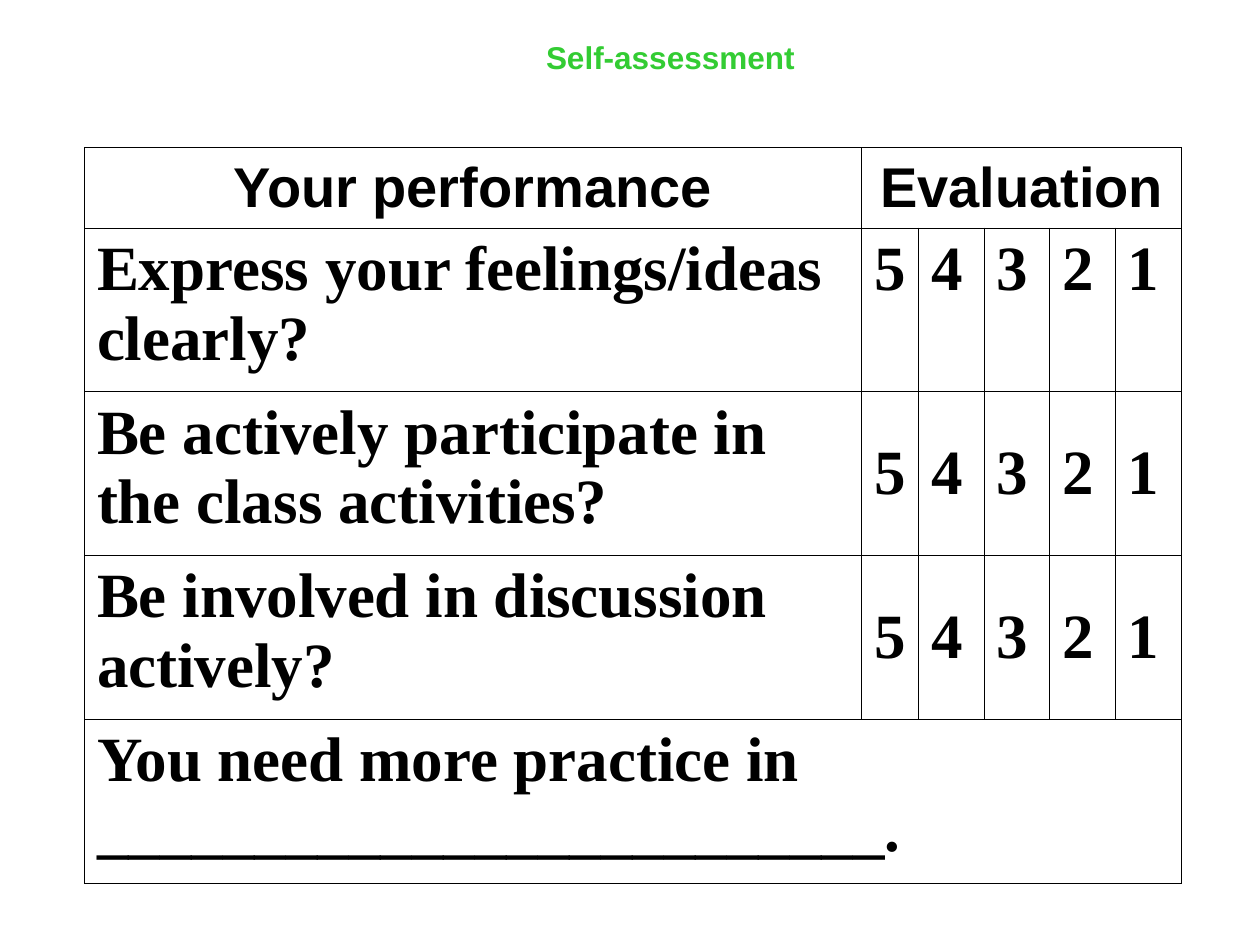
from dataclasses import dataclass

from lxml import etree
from pptx import Presentation
from pptx.dml.color import RGBColor
from pptx.enum.text import MSO_ANCHOR, MSO_AUTO_SIZE, PP_ALIGN
from pptx.oxml.ns import qn
from pptx.util import Inches, Pt

TOP, MIDDLE = MSO_ANCHOR.TOP, MSO_ANCHOR.MIDDLE
LEFT, CENTER = PP_ALIGN.LEFT, PP_ALIGN.CENTER
NO_AUTOSIZE = MSO_AUTO_SIZE.NONE
TITLE_ONLY = 5

BLACK, WHITE, GREEN = "000000", "FFFFFF", "33CC33"
BORDER_WIDTH = Pt(0.45)
COLUMN_WIDTHS = (6.17, 0.45, 0.52, 0.52, 0.52, 0.53)
ROW_HEIGHTS = (0.64,) + (1.3,) * 4
SCORES = "54321"
LAST_COLUMN = len(COLUMN_WIDTHS) - 1


@dataclass(frozen=True)
class TextStyle:
    font: str
    size: float
    color: str = BLACK
    align: PP_ALIGN = LEFT
    anchor: MSO_ANCHOR = TOP


@dataclass(frozen=True)
class Question:
    text: str
    score_anchor: MSO_ANCHOR = MIDDLE


TITLE = TextStyle("Arial", 18, GREEN, CENTER)
HEADER = TextStyle("Arial", 32, align=CENTER, anchor=MIDDLE)
BODY = TextStyle("Times New Roman", 36)

QUESTIONS = (
    Question("Express your feelings/ideas clearly?", TOP),
    Question("Be actively participate in the class activities?"),
    Question("Be involved in discussion actively?"),
)


def rgb(color: str) -> RGBColor:
    return RGBColor.from_string(color)


def write(frame, text: str, style: TextStyle) -> None:
    para = frame.paragraphs[0]
    para.alignment = style.align
    span = para.add_run()
    span.text = text
    span.font.name = style.font
    span.font.size = Pt(style.size)
    span.font.bold = True
    span.font.color.rgb = rgb(style.color)


def add_title(slide, text: str) -> None:
    box = slide.shapes.title
    box.left, box.top = Inches(3.17), Inches(0.25)
    box.width, box.height = Inches(4.3), Inches(0.59)
    frame = box.text_frame
    frame.word_wrap = False
    frame.auto_size = NO_AUTOSIZE
    frame.vertical_anchor = TITLE.anchor
    write(frame, text, TITLE)


def format_cell(cell) -> None:
    properties = cell._tc.get_or_add_tcPr()
    for edge in ("a:lnL", "a:lnR", "a:lnT", "a:lnB"):
        line = etree.SubElement(properties, qn(edge), w=str(BORDER_WIDTH))
        fill = etree.SubElement(line, qn("a:solidFill"))
        etree.SubElement(fill, qn("a:srgbClr"), val=BLACK)
    cell.fill.solid()
    cell.fill.fore_color.rgb = rgb(WHITE)


def fill_cell(cell, text: str, style: TextStyle, anchor: MSO_ANCHOR) -> None:
    cell.vertical_anchor = anchor
    write(cell.text_frame, text, style)


def add_assessment_table(slide) -> None:
    table = slide.shapes.add_table(
        len(ROW_HEIGHTS), len(COLUMN_WIDTHS), Inches(0.67), Inches(1.17),
        Inches(sum(COLUMN_WIDTHS)), Inches(sum(ROW_HEIGHTS))).table
    table.first_row = table.horz_banding = False
    for column, width in zip(table.columns, COLUMN_WIDTHS):
        column.width = Inches(width)
    for row, height in zip(table.rows, ROW_HEIGHTS):
        row.height = Inches(height)
    for cell in table.iter_cells():
        format_cell(cell)

    # Header row, with one heading over all the scores
    table.cell(0, 1).merge(table.cell(0, LAST_COLUMN))
    for column, heading in enumerate(("Your performance", "Evaluation")):
        fill_cell(table.cell(0, column), heading, HEADER, HEADER.anchor)

    # Questions and their scores
    for row, question in enumerate(QUESTIONS, start=1):
        fill_cell(table.cell(row, 0), question.text, BODY, BODY.anchor)
        for column, score in enumerate(SCORES, start=1):
            fill_cell(table.cell(row, column), score, BODY,
                      question.score_anchor)

    # Full-width line to complete
    last_row = len(ROW_HEIGHTS) - 1
    table.cell(last_row, 0).merge(table.cell(last_row, LAST_COLUMN))
    fill_cell(table.cell(last_row, 0),
              "You need more practice in _________________________.",
              BODY, BODY.anchor)


def main() -> None:
    deck = Presentation()
    deck.slide_width, deck.slide_height = Inches(10), Inches(7.5)
    page = deck.slides.add_slide(deck.slide_layouts[TITLE_ONLY])
    add_title(page, "Self-assessment")
    add_assessment_table(page)
    deck.save("out.pptx")


if __name__ == "__main__":
    main()
